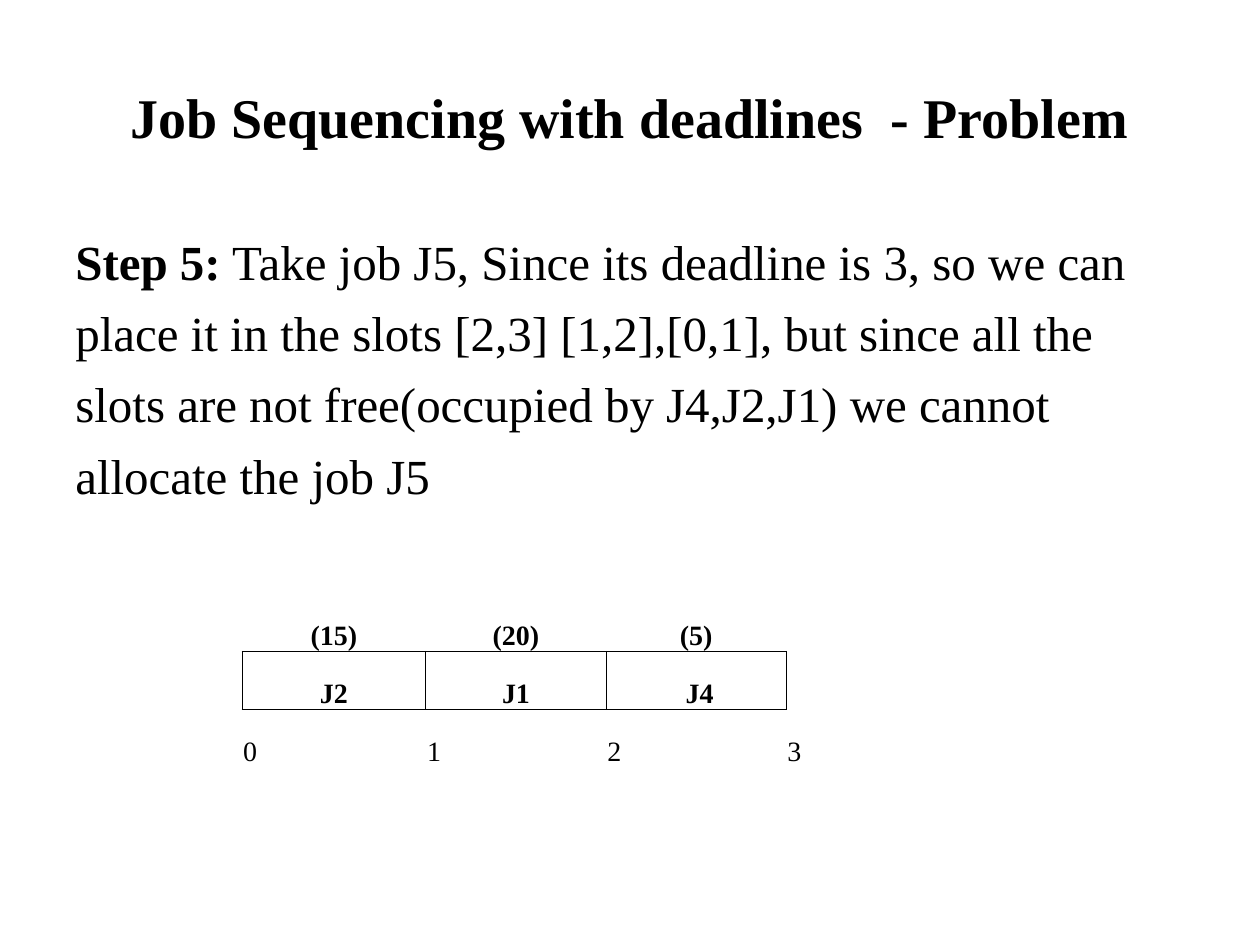
from lxml import etree
from pptx import Presentation
from pptx.dml.color import RGBColor
from pptx.enum.text import MSO_ANCHOR, PP_ALIGN
from pptx.oxml.ns import qn
from pptx.util import Inches, Pt

LEFT, CENTER, JUSTIFY = PP_ALIGN.LEFT, PP_ALIGN.CENTER, PP_ALIGN.JUSTIFY
TOP, MIDDLE, BOTTOM = MSO_ANCHOR.TOP, MSO_ANCHOR.MIDDLE, MSO_ANCHOR.BOTTOM
COLORS = {"ink": "000000"}
WIDTH, HEIGHT = 10, 7.5
GRID = 0.5
BORDER_WIDTH = 0.5

TITLE = "Job Sequencing with deadlines  - Problem"
STEP = [
    [("Step 5:", True), (" Take job J5, Since its deadline is 3, so we can", False)],
    [("place it in the slots [2,3] [1,2],[0,1], but since all the", False)],
    [("slots are not free(occupied by J4,J2,J1) we cannot", False)],
    [("allocate the job J5", False)],
]
SCHEDULE = [
    ["(15)", "(20)", "(5)", ""],
    ["J2", "J1", " J4", ""],
    ["0", "1", "2", "3"],
]
JOB_ROW, TIME_ROW, SLOTS = 1, 2, 3


def slot_borders(row, column):
    in_slots = column < SLOTS
    job = row == JOB_ROW
    return {
        "a:lnL": job,
        "a:lnR": job and in_slots,
        "a:lnT": in_slots and row in (JOB_ROW, TIME_ROW),
        "a:lnB": in_slots and row in (JOB_ROW - 1, JOB_ROW),
    }


class SlideBuilder:
    font = "Times New Roman"

    def __init__(self, presentation):
        self.slide = presentation.slides.add_slide(presentation.slide_layouts[6])

    def place(self, column, row, columns, rows):
        return [Inches(GRID * value) for value in (column, row, columns, rows)]

    def run(self, paragraph, text, size, bold):
        run = paragraph.add_run()
        run.text = text
        run.font.name = self.font
        run.font.size = Pt(size)
        run.font.bold = bold
        run.font.color.rgb = RGBColor.from_string(COLORS["ink"])

    def text(self, area, paragraphs, size, align, anchor, gap=0):
        frame = self.slide.shapes.add_textbox(*self.place(*area)).text_frame
        frame.word_wrap = True
        frame.vertical_anchor = anchor
        for index, runs in enumerate(paragraphs):
            paragraph = frame.add_paragraph() if index else frame.paragraphs[0]
            paragraph.alignment = align
            if index:
                paragraph.space_before = Pt(gap)
            for text, bold in runs:
                self.run(paragraph, text, size, bold)

    def border(self, cell, edge, visible):
        properties = cell._tc.get_or_add_tcPr()
        line = etree.SubElement(properties, qn(edge), w=str(Pt(BORDER_WIDTH)))
        if visible:
            fill = etree.SubElement(line, qn("a:solidFill"))
            etree.SubElement(fill, qn("a:srgbClr"), val=COLORS["ink"])
        else:
            etree.SubElement(line, qn("a:noFill"))

    def table(self, area, rows, widths, size):
        shape = self.slide.shapes.add_table(len(rows), len(widths), *self.place(*area))
        table = shape.table
        table.first_row = table.horz_banding = False
        for column, width in zip(table.columns, widths):
            column.width = Inches(width)
        for row, values in enumerate(rows):
            for column, value in enumerate(values):
                cell = table.cell(row, column)
                cell.margin_left = cell.margin_right = cell.margin_top = Inches(0.01)
                cell.margin_bottom = 0
                cell.vertical_anchor = BOTTOM
                for edge, visible in slot_borders(row, column).items():
                    self.border(cell, edge, visible)
                cell.fill.background()
                paragraph = cell.text_frame.paragraphs[0]
                paragraph.alignment = LEFT if row == TIME_ROW else CENTER
                if value:
                    self.run(paragraph, value, size, row != TIME_ROW)


def main():
    presentation = Presentation()
    presentation.slide_width = Inches(WIDTH)
    presentation.slide_height = Inches(HEIGHT)
    builder = SlideBuilder(presentation)
    builder.text((1, 0.6, 18, 2.5), [[(TITLE, True)]], 32, CENTER, MIDDLE)
    builder.table((3.84, 9.42, 11.5, 2.76), SCHEDULE, [1.46] + [1.43] * SLOTS, 16)
    builder.text((1, 3.58, 18, 9.82), STEP, 28, JUSTIFY, TOP, gap=7)
    presentation.save("out.pptx")


if __name__ == "__main__":
    main()
